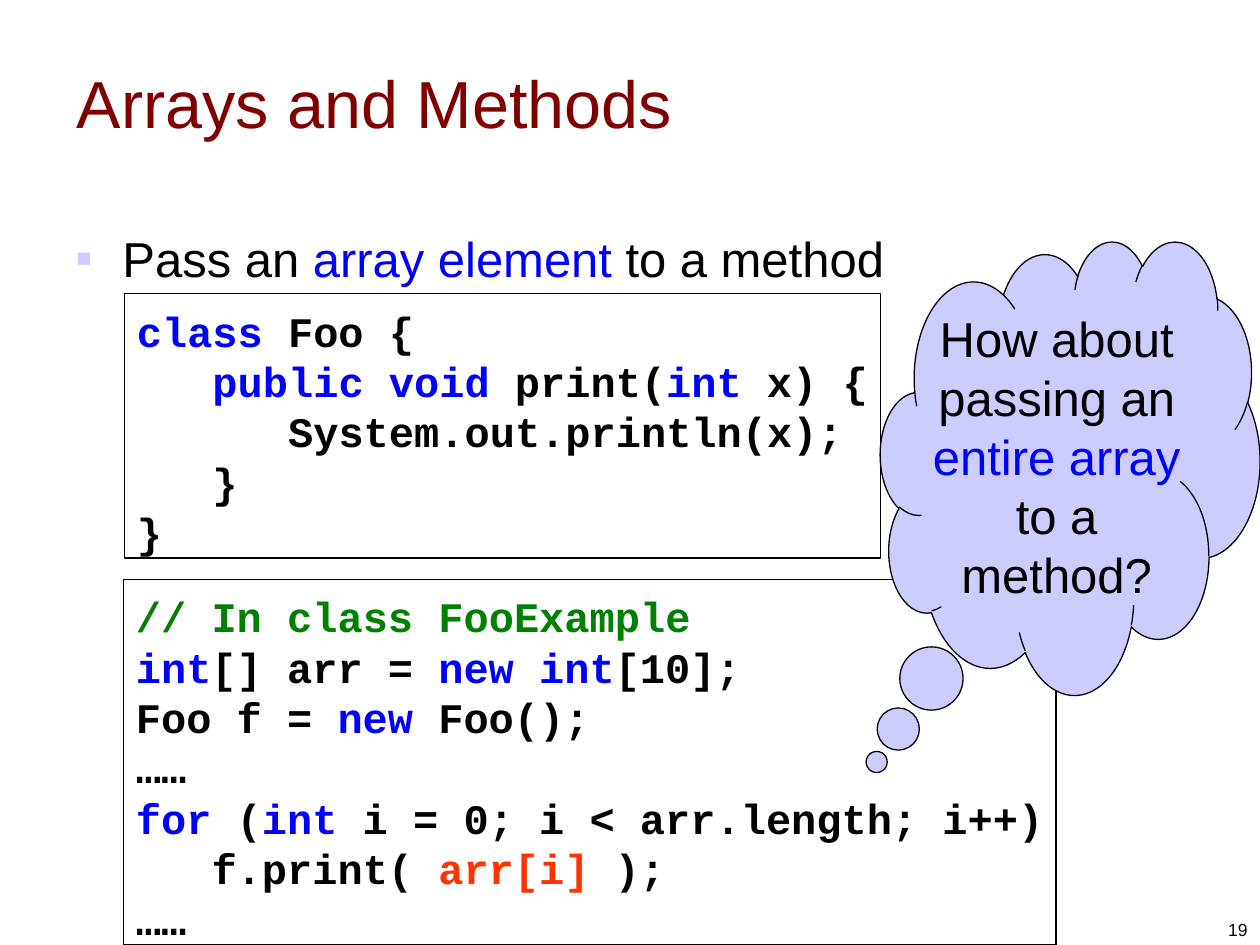
from dataclasses import dataclass

import pptx
import pptx.dml.color
import pptx.enum.shapes
import pptx.enum.text
import pptx.oxml
import pptx.oxml.ns
import pptx.util
from pptx.util import Cm, Pt

RGBColor = pptx.dml.color.RGBColor
Align = pptx.enum.text.PP_ALIGN
Anchor = pptx.enum.text.MSO_ANCHOR
ShapeType = pptx.enum.shapes.MSO_SHAPE

BLACK = RGBColor(0x00, 0x00, 0x00)
MAROON = RGBColor(0x80, 0x00, 0x00)
BLUE = RGBColor(0x00, 0x00, 0xFF)
GREEN = RGBColor(0x00, 0x80, 0x00)
ORANGE = RGBColor(0xFF, 0x33, 0x00)
LAVENDER = RGBColor(0xCC, 0xCC, 0xFF)

LINE_FACTOR = 1.2

# A line is a list of runs, each a text with its colour
Line = list[tuple[str, RGBColor]]


@dataclass
class Box:
    left: float
    top: float
    width: float
    height: float

    def lengths(self) -> tuple:
        return Cm(self.left), Cm(self.top), Cm(self.width), Cm(self.height)


@dataclass
class CodeBlock:
    box: Box
    lines: list[Line]


CODE_BLOCKS = [
    CodeBlock(Box(2.51, 5.92, 15.24, 5.33), [
        [("class", BLUE), (" Foo {", BLACK)],
        [("   public void", BLUE), (" print(", BLACK), ("int", BLUE), (" x) {", BLACK)],
        [("      System.out.println(x);", BLACK)],
        [("   }", BLACK)],
        [("}", BLACK)],
    ]),
    CodeBlock(Box(2.49, 11.68, 18.8, 7.37), [
        [("// In class FooExample", GREEN)],
        [("int", BLUE), ("[] arr = ", BLACK), ("new int", BLUE), ("[10];", BLACK)],
        [("Foo f = ", BLACK), ("new", BLUE), (" Foo();", BLACK)],
        [("……", BLACK)],
        [("for", BLUE), (" (", BLACK), ("int", BLUE),
         (" i = 0; i < arr.length; i++)", BLACK)],
        [("   f.print( ", BLACK), ("arr[i]", ORANGE), (" );", BLACK)],
        [("……", BLACK)],
    ]),
]


def add_bullet(paragraph, character: str, color: RGBColor, indent: float) -> None:
    properties = paragraph._p.get_or_add_pPr()
    properties.set("marL", str(Cm(indent)))
    properties.set("indent", str(-Cm(indent)))
    namespace = pptx.oxml.ns.nsdecls("a")
    for xml in (
        f'<a:buClr {namespace}><a:srgbClr val="{color}"/></a:buClr>',
        f'<a:buFont {namespace} typeface="Arial"/>',
        f'<a:buChar {namespace} char="{character}"/>',
    ):
        properties.append(pptx.oxml.parse_xml(xml))


def write_text(shape, lines: list[Line], *, size: float, font: str = "Arial",
               bold: bool = False, align=Align.LEFT, anchor=Anchor.TOP,
               wrap: bool = True, spaced: bool = False,
               margins: tuple = (0.25, 0.13, 0.25, 0.13)) -> None:
    frame = shape.text_frame
    frame.word_wrap = wrap
    frame.auto_size = pptx.enum.text.MSO_AUTO_SIZE.NONE
    frame.vertical_anchor = anchor
    (frame.margin_left, frame.margin_top,
     frame.margin_right, frame.margin_bottom) = map(Cm, margins)
    for index, line in enumerate(lines):
        paragraph = frame.add_paragraph() if index else frame.paragraphs[0]
        paragraph.alignment = align
        if spaced:
            paragraph.line_spacing = Pt(size * LINE_FACTOR)
        for text, color in line:
            run = paragraph.add_run()
            run.text = text
            run.font.name = font
            run.font.size = Pt(size)
            run.font.bold = bold
            run.font.color.rgb = color


def add_outlined_shape(slide, kind, box: Box, fill: RGBColor | None = None):
    shape = slide.shapes.add_shape(kind, *box.lengths())
    shape.shadow.inherit = False
    if fill is None:
        shape.fill.background()
    else:
        shape.fill.solid()
        shape.fill.fore_color.rgb = fill
    shape.line.color.rgb = BLACK
    shape.line.width = Pt(0.75)
    return shape


def main() -> None:
    presentation = pptx.Presentation()
    presentation.slide_width = Cm(25.4)
    presentation.slide_height = Cm(19.05)
    slide = presentation.slides.add_slide(presentation.slide_layouts[5])

    # Title
    title = slide.shapes.title
    title.left, title.top, title.width, title.height = Box(1.3, 0.46, 22.86, 3.18).lengths()
    write_text(title, [[("Arrays and Methods", MAROON)]], size=38, anchor=Anchor.MIDDLE)

    # Bullet point
    point = slide.shapes.add_textbox(*Box(1.27, 4.48, 22.86, 1.45).lengths())
    add_bullet(point.text_frame.paragraphs[0], "▪", LAVENDER, 0.95)
    write_text(point, [[("Pass an ", BLACK), ("array element", BLUE),
                        (" to a method", BLACK)]], size=28, spaced=True)

    # Code listings
    for block in CODE_BLOCKS:
        listing = add_outlined_shape(slide, ShapeType.RECTANGLE, block.box)
        write_text(listing, block.lines, size=24, font="Courier New", bold=True,
                   wrap=False, spaced=True, margins=(0.25, 0.23, 0.25, 0))

    # Thought cloud
    cloud = add_outlined_shape(slide, ShapeType.CLOUD_CALLOUT,
                               Box(17.75, 4.85, 7.65, 9.14), LAVENDER)
    cloud.adjustments[0] = -0.51
    cloud.adjustments[1] = 0.65
    write_text(cloud, [[("How about passing an ", BLACK), ("entire array", BLUE),
                        (" to a method?", BLACK)]],
               size=28, align=Align.CENTER, spaced=True, margins=(0, 0, 0, 0))

    # Slide number
    number = slide.shapes.add_textbox(*Box(19.48, 17.81, 5.92, 1.27).lengths())
    write_text(number, [[("19", BLACK)]], size=10, align=Align.RIGHT, anchor=Anchor.BOTTOM)

    presentation.save("out.pptx")


if __name__ == "__main__":
    main()
